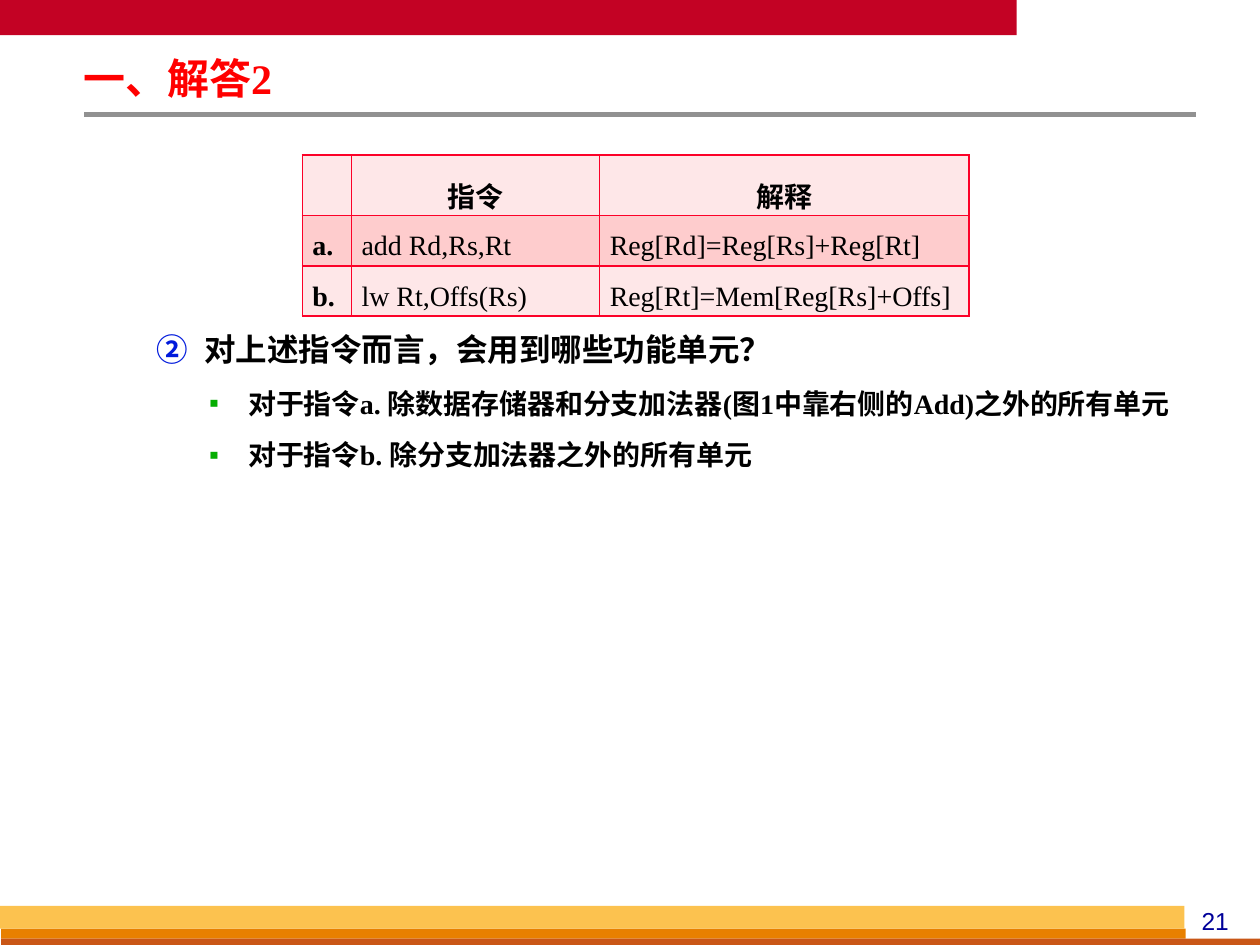
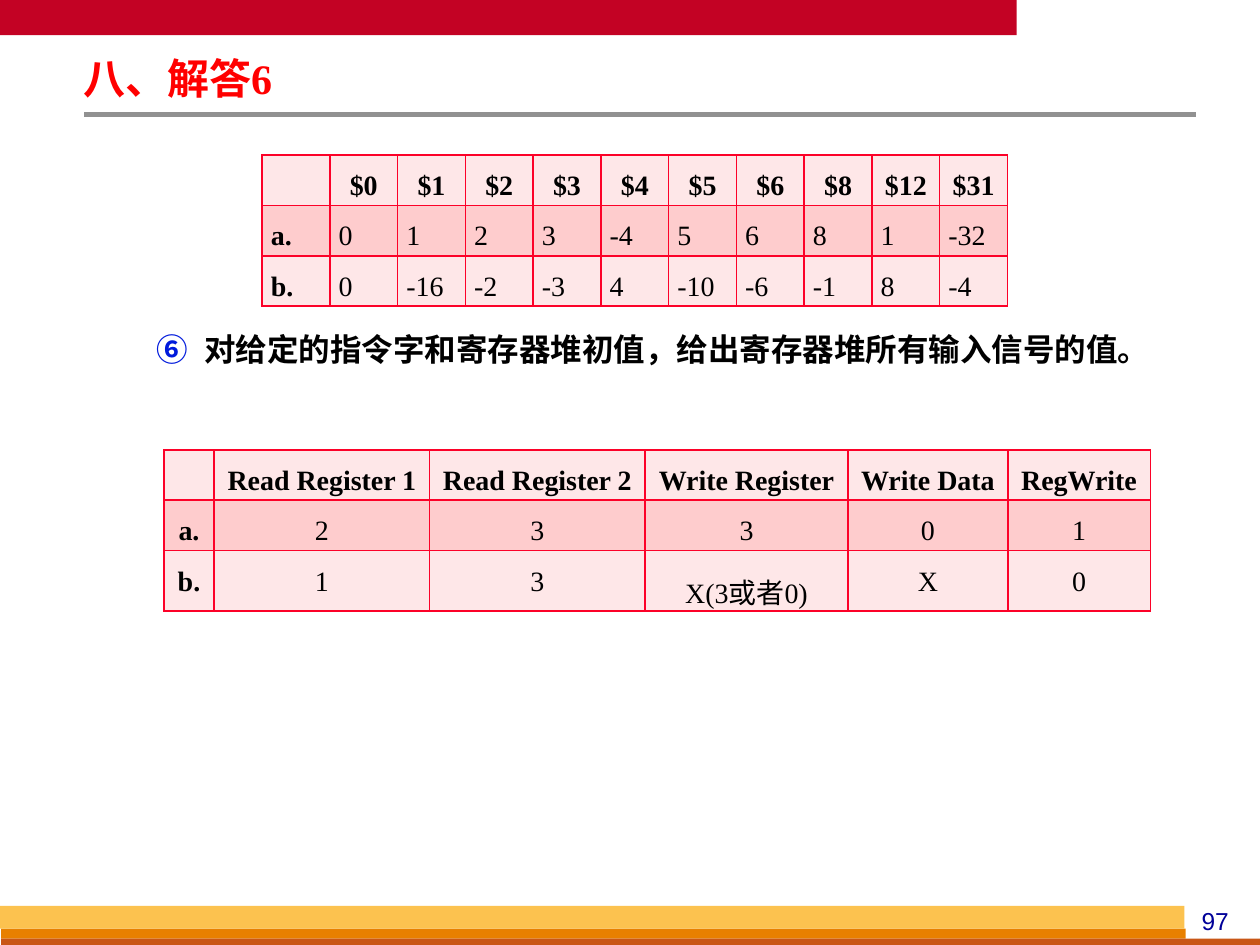
from dataclasses import dataclass
from typing import Any

import lxml.etree
import pptx
import pptx.dml.color
import pptx.enum.shapes
import pptx.enum.text
import pptx.oxml.ns
import pptx.util

# Slide size and a grid of 100 columns by 75 rows
WIDE, HIGH = pptx.util.Inches(10), pptx.util.Inches(7.5)
COL, ROW = WIDE / 100, HIGH / 75

# Shared colours and fonts
RED, GREY, NAVY = "C30224", "919191", "000099"
GOLD, AMBER, RUST = "FCC24F", "E88000", "C95616"
TITLE, BLACK, RULE = "FF0000", "000000", "FC0128"
PALE, PINK = "FEE7E8", "FECCCD"
BLUE, GREEN = "001ADC", "05AD01"
SERIF, SANS = "Times New Roman", "Arial"
ALIGN = pptx.enum.text.PP_ALIGN

# Table row heights: Latin text only, or with Chinese text
SHORT, TALL = 4, 4.8


@dataclass
class Band:
    x: float
    y: float
    w: float
    h: float
    fill: str


@dataclass
class Grid:
    x: float
    y: float
    cols: list[float]
    rows: list[list[str]]
    align: Any = ALIGN.JUSTIFY
    pad: float = 0.8


@dataclass
class Page:
    title: str
    number: int
    start: int
    ask: str
    notes: list[str]
    grids: list[Grid]


BANDS = [
    Band(0, 0, 80.7, 2.8, RED),
    Band(0.1, 73.7, 94, 0.8, AMBER),
    Band(0.1, 74.5, 100, 0.8, RUST),
    Band(0, 71.9, 94, 1.8, GOLD),
]

PAGES = [
    Page("一、解答2", 21, 2, "对上述指令而言，会用到哪些功能单元？", [
        "对于指令a. 除数据存储器和分支加法器(图1中靠右侧的Add)之外的所有单元",
        "对于指令b. 除分支加法器之外的所有单元",
    ], [
        Grid(24, 12.3, [3.9, 19.7, 29.3], [
            ["", "指令", "解释"],
            ["a.", "add Rd,Rs,Rt", "Reg[Rd]=Reg[Rs]+Reg[Rt]"],
            ["b.", "lw Rt,Offs(Rs)", "Reg[Rt]=Mem[Reg[Rs]+Offs]"],
        ]),
    ]),
    Page("八、解答6", 97, 6, "对给定的指令字和寄存器堆初值，给出寄存器堆所有输入信号的值。", [], [
        Grid(20.8, 12.3, [5.38] * 11, [
            ["", "$0", "$1", "$2", "$3", "$4", "$5", "$6", "$8", "$12", "$31"],
            ["a.", "0", "1", "2", "3", "-4", "5", "6", "8", "1", "-32"],
            ["b.", "0", "-16", "-2", "-3", "4", "-10", "-6", "-1", "8", "-4"],
        ], pad=0.7),
        Grid(13, 35.7, [4, 17.1, 17.1, 16.1, 12.7, 11.3], [
            ["", "Read Register 1", "Read Register 2", "Write Register",
             "Write Data", "RegWrite"],
            ["a.", "2", "3", "3", "0", "1"],
            ["b.", "1", "3", "X(3或者0)", "X", "0"],
        ], ALIGN.CENTER),
    ]),
]


def across(n: float) -> int:
    return round(n * COL)


def down(n: float) -> int:
    return round(n * ROW)


def place(x: float, y: float, w: float, h: float) -> tuple[int, int, int, int]:
    return across(x), down(y), across(w), down(h)


def paint(color: Any, code: str) -> None:
    color.rgb = pptx.dml.color.RGBColor.from_string(code)


def add(root: Any, tag: str, **attrs: str) -> Any:
    return lxml.etree.SubElement(root, pptx.oxml.ns.qn(tag), attrs)


def style(para: Any, size: float, code: str = BLACK, bold: bool = False,
          face: str = SERIF) -> None:
    font = para.font
    font.size, font.bold, font.name = pptx.util.Pt(size), bold, face
    paint(font.color, code)


def inset(frame: Any, x: float, y: float) -> None:
    frame.margin_left = frame.margin_right = across(x)
    frame.margin_top = frame.margin_bottom = down(y)


# Bands, title rule and page number
def draw_frame(slide: Any, number: int) -> None:
    for band in BANDS:
        shape = slide.shapes.add_shape(
            pptx.enum.shapes.MSO_SHAPE.RECTANGLE,
            *place(band.x, band.y, band.w, band.h))
        shape.shadow.inherit = False
        shape.fill.solid()
        paint(shape.fill.fore_color, band.fill)
        shape.line.fill.background()

    rule = slide.shapes.add_connector(
        pptx.enum.shapes.MSO_CONNECTOR.STRAIGHT,
        across(6.7), down(9.1), across(94.9), down(9.1))
    rule.line.width = pptx.util.Pt(3)
    paint(rule.line.color, GREY)
    add(rule._element.spPr, "a:effectLst")

    box = slide.shapes.add_textbox(*place(93.3, 71.4, 6.3, 3.3))
    box.text_frame.word_wrap = True
    para = box.text_frame.paragraphs[0]
    para.text, para.alignment = str(number), ALIGN.CENTER
    style(para, 14, NAVY, face=SANS)


def draw_title(slide: Any, text: str) -> None:
    title = slide.shapes.title
    title.left, title.top, title.width, title.height = place(5.9, 4.4, 57.5, 4.1)
    frame = title.text_frame
    frame.auto_size = pptx.enum.text.MSO_AUTO_SIZE.NONE
    frame.vertical_anchor = pptx.enum.text.MSO_ANCHOR.MIDDLE
    inset(frame, 0.7, 0.3)
    para = frame.paragraphs[0]
    para.text, para.alignment, para.line_spacing = text, ALIGN.LEFT, 0.87
    style(para, 24, TITLE, True)


# Numbered question with bulleted answers
def mark(para: Any, left: float, hang: float, code: str) -> Any:
    props = para._p.get_or_add_pPr()
    props.set("marL", str(across(left)))
    props.set("indent", str(-across(hang)))
    add(add(props, "a:buClr"), "a:srgbClr", val=code)
    return props


def draw_body(slide: Any, page: Page) -> None:
    box = slide.shapes.add_textbox(*place(7.5, 25.3, 87, 14))
    frame = box.text_frame
    frame.word_wrap = True
    inset(frame, 0.7, 0.3)
    para = frame.paragraphs[0]
    para.text = page.ask
    add(mark(para, 8, 3.8, BLUE), "a:buAutoNum",
        type="circleNumDbPlain", startAt=str(page.start))
    para.line_spacing, para.space_after = 1.2, pptx.util.Pt(3.6)
    style(para, 18, bold=True)
    for note in page.notes:
        para = frame.add_paragraph()
        para.text = note
        props = mark(para, 11.5, 3.1, GREEN)
        add(props, "a:buFont", typeface=SANS)
        add(props, "a:buChar", char="▪")
        para.line_spacing = 1.2
        para.space_before = para.space_after = pptx.util.Pt(3.2)
        style(para, 16, bold=True)


# Tables with red rules and alternating rows
def border(cell: Any) -> None:
    props = cell._tc.get_or_add_tcPr()
    for side in "LRTB":
        line = add(props, f"a:ln{side}", w=str(pptx.util.Pt(1)))
        add(add(line, "a:solidFill"), "a:srgbClr", val=RULE)


def draw_grid(slide: Any, grid: Grid) -> None:
    highs = [SHORT if "".join(row).isascii() else TALL for row in grid.rows]
    size = place(grid.x, grid.y, sum(grid.cols), sum(highs))
    table = slide.shapes.add_table(len(grid.rows), len(grid.cols), *size).table
    for col, width in zip(table.columns, grid.cols):
        col.width = across(width)
    for row, high in zip(table.rows, highs):
        row.height = down(high)
    for r, texts in enumerate(grid.rows):
        for c, text in enumerate(texts):
            cell = table.cell(r, c)
            inset(cell, grid.pad, 0)
            border(cell)
            cell.fill.solid()
            paint(cell.fill.fore_color, PINK if r % 2 else PALE)
            if text:
                para = cell.text_frame.paragraphs[0]
                para.text, para.line_spacing = text, 1.5
                para.alignment = grid.align if r else ALIGN.CENTER
                style(para, 16, bold=r == 0 or c == 0)


def main() -> None:
    deck = pptx.Presentation()
    deck.slide_width, deck.slide_height = WIDE, HIGH
    for page in PAGES:
        slide = deck.slides.add_slide(deck.slide_layouts[5])
        draw_frame(slide, page.number)
        draw_title(slide, page.title)
        draw_body(slide, page)
        for grid in page.grids:
            draw_grid(slide, grid)
    deck.save("out.pptx")


if __name__ == "__main__":
    main()
